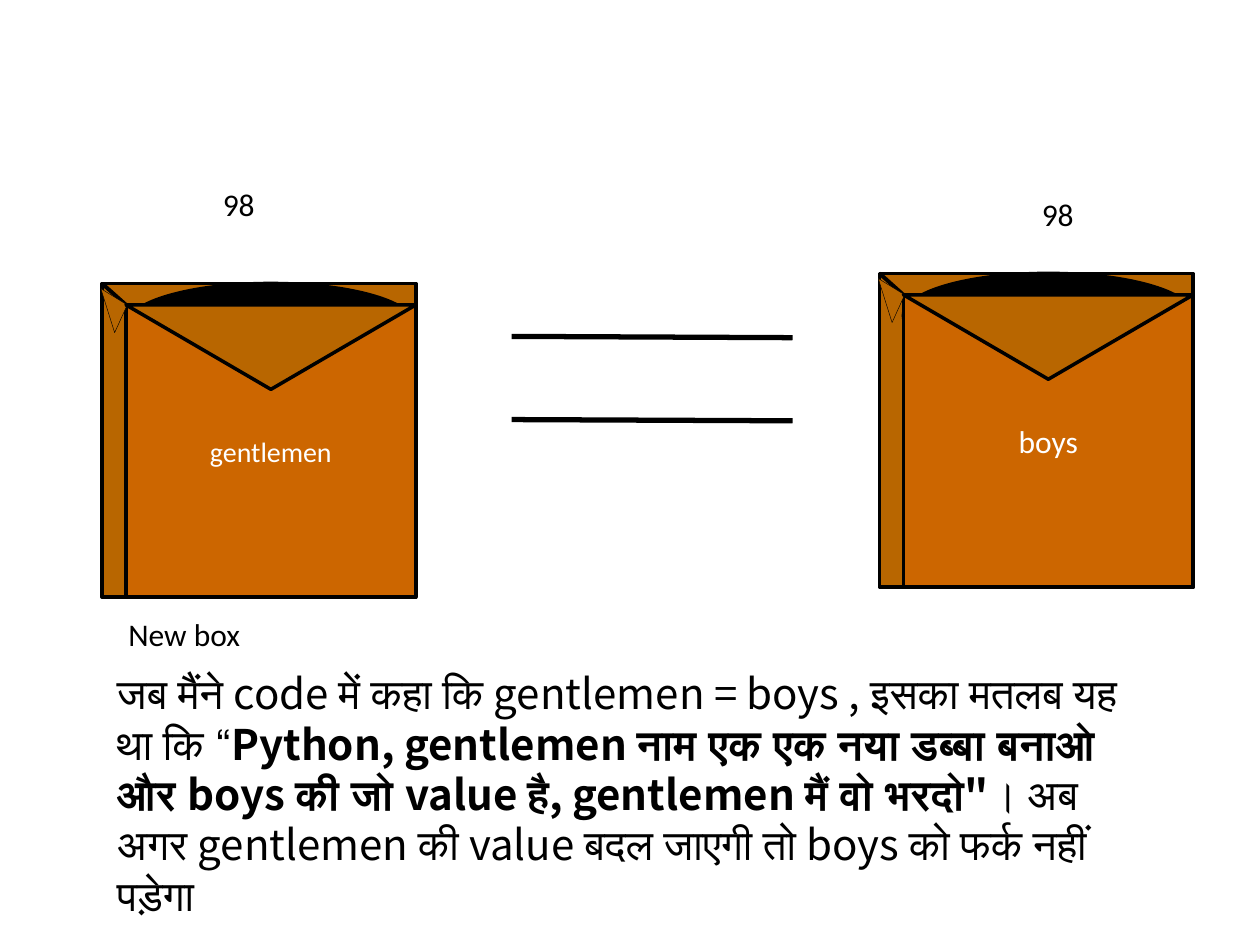
from pptx import Presentation, util as u
from pptx.dml.color import RGBColor
from pptx.enum import shapes as es, text as et
from lxml import etree

WIDE, HIGH = 10, 7.5
THEME = dict(ink="000000", white="FFFFFF", front="CC6600", side="B86600",
             font="Calibri", story="Noto Sans CJK SC",
             name=16, label=18, body=24, pitch=28.8,
             edge=2, slant=2.25, bar=3, hair=0.25)

# Each box: name, type size, left, top
BOXES = [("boys", THEME["label"], 6.98, 2.17),
         ("gentlemen", THEME["name"], 0.81, 2.25)]
SIZE = 2.49              # outer side of a box
DEEP, DROP = 0.19, 0.17  # how far the front sits in from the back
FLAP = 0.67
FOLD = [(-0.01, 0.04), (0.2, 0.17), (0.1, 0.39)]

BARS = [2.67, 3.33]
BAR_X = (4.06, 6.29)
LABELS = [("98", 8.17, 1.5, 0.67, 0.4),
          ("98", 1.67, 1.42, 0.67, 0.4),
          ("New box", 0.92, 4.83, 2.08, 0.71)]
STORY = [
    ("जब मैंने code में कहा कि gentlemen = boys , इसका मतलब यह था कि “", False),
    ("Python, gentlemen नाम एक एक नया डब्बा बनाओ और boys की जो value है, "
     "gentlemen मैं वो भरदो\"", True),
    ("। अब अगर gentlemen की value बदल जाएगी तो boys को फर्क नहीं पड़ेगा", False)]
STORY_AT = (0.83, 5.25, 8.42, 2.12)


def color(key):
    return RGBColor.from_string(THEME[key])


def inch(*nums):
    return [u.Inches(n) for n in nums]


def paint(shape, fill, edge="edge"):
    shape.shadow.inherit = False
    shape.fill.solid()
    shape.fill.fore_color.rgb = color(fill)
    shape.line.color.rgb = color("ink")
    shape.line.width = u.Pt(THEME[edge])


def style(para, size, tone="ink", face="font"):
    para.font.size = u.Pt(size)
    para.font.name = THEME[face]
    para.font.color.rgb = color(tone)


def part(group, kind, at, fill, turn=0):
    shape = group.shapes.add_shape(kind, *inch(*at))
    shape.rotation = turn
    paint(shape, fill)
    return shape


def line(group, ends, width):
    link = group.shapes.add_connector(es.MSO_CONNECTOR.STRAIGHT, *inch(*ends))
    link.line.color.rgb = color("ink")
    link.line.width = u.Pt(THEME[width])
    props = link._element.spPr
    etree.SubElement(props, props.tag.split("}")[0].replace(
        "presentationml", "drawingml") + "}effectLst")


def add_box(slide, name, size, left, top):
    kind = es.MSO_SHAPE
    group = slide.shapes.add_group_shape()
    x, y, wide = left + DEEP, top + DROP, SIZE - DEEP
    part(group, kind.RECTANGLE, (left, top, SIZE, SIZE), "side")
    part(group, kind.OVAL, (x, top, wide, FLAP), "ink")
    front = part(group, kind.RECTANGLE, (x, y, wide, SIZE - DROP), "front")
    frame = front.text_frame
    frame.vertical_anchor = et.MSO_ANCHOR.MIDDLE
    para = frame.paragraphs[0]
    para.text = name
    para.alignment = et.PP_ALIGN.CENTER
    style(para, size, "white")
    line(group, (left, top, x, y), "slant")
    dots = [inch(left + dx, top + dy) for dx, dy in FOLD]
    pen = group.shapes.build_freeform(*dots[0])
    pen.add_line_segments(dots[1:], close=True)
    paint(pen.convert_to_shape(), "side", "hair")
    part(group, kind.ISOSCELES_TRIANGLE, (x, y, wide, FLAP), "side", 180)


def add_text(slide, at):
    frame = slide.shapes.add_textbox(*inch(*at)).text_frame
    frame.word_wrap = True
    return frame.paragraphs[0]


def main():
    deck = Presentation()
    deck.slide_width, deck.slide_height = inch(WIDE, HIGH)
    slide = deck.slides.add_slide(deck.slide_layouts[6])

    add_box(slide, *BOXES[0])
    equals = slide.shapes.add_group_shape()
    for y in BARS:
        line(equals, (BAR_X[0], y, BAR_X[1], y + 0.01), "bar")
    add_box(slide, *BOXES[1])

    for words, *at in LABELS:
        para = add_text(slide, at)
        para.text = words
        style(para, THEME["label"])

    para = add_text(slide, STORY_AT)
    para.line_spacing = u.Pt(THEME["pitch"])
    style(para, THEME["body"], face="story")
    for words, bold in STORY:
        run = para.add_run()
        run.text = words
        run.font.bold = bold
    deck.save("out.pptx")


if __name__ == "__main__":
    main()
